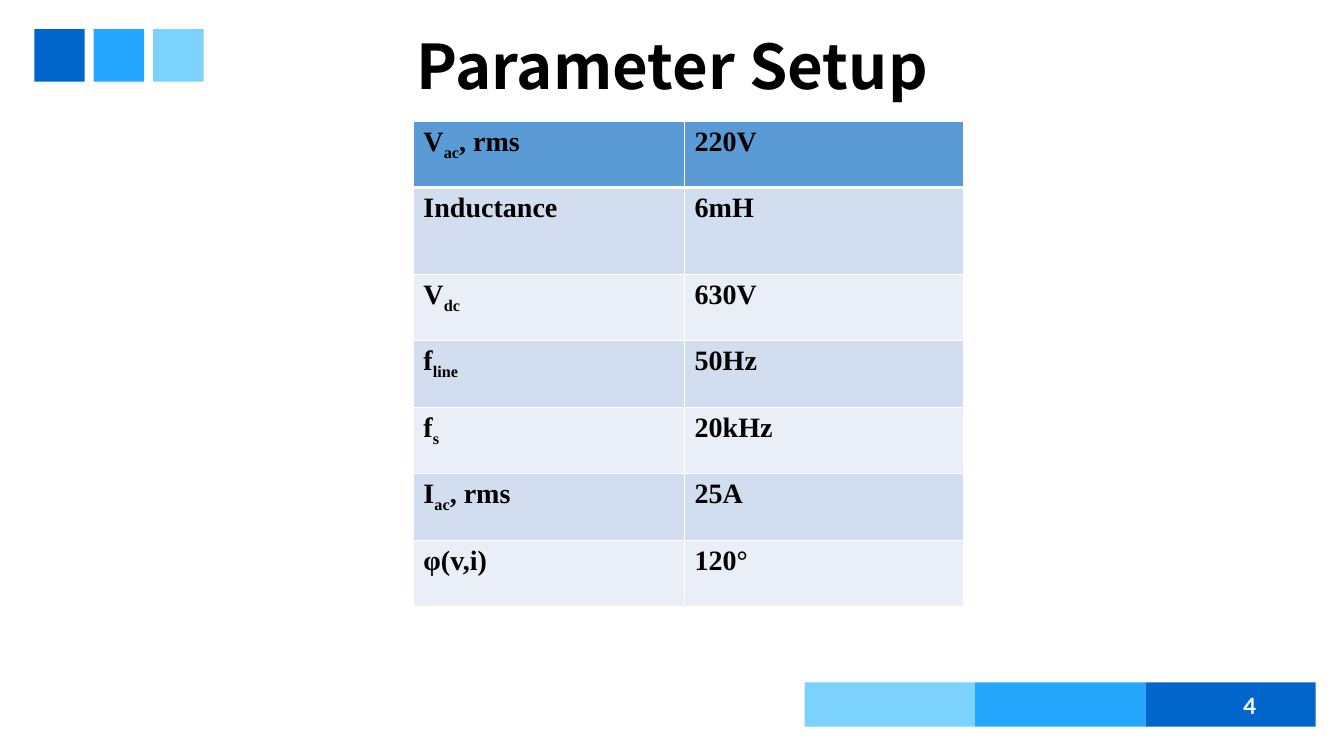
from lxml import etree
from pptx import Presentation
from pptx.dml.color import RGBColor
from pptx.enum.shapes import MSO_SHAPE
from pptx.enum.text import MSO_ANCHOR, PP_ALIGN
from pptx.oxml.ns import qn
from pptx.util import Inches, Pt

RECTANGLE = MSO_SHAPE.RECTANGLE
MIDDLE, BOTTOM = MSO_ANCHOR.MIDDLE, MSO_ANCHOR.BOTTOM
CENTER, RIGHT = PP_ALIGN.CENTER, PP_ALIGN.RIGHT

BLACK = RGBColor(0x00, 0x00, 0x00)
WHITE = RGBColor(0xFF, 0xFF, 0xFF)
DEEP_BLUE = RGBColor(0x00, 0x66, 0xCC)
BRIGHT_BLUE = RGBColor(0x25, 0xA7, 0xFD)
SKY_BLUE = RGBColor(0x7B, 0xD2, 0xFD)
HEADER_BLUE = RGBColor(0x5B, 0x9B, 0xD5)
DARK_BAND = RGBColor(0xD2, 0xDE, 0xEF)
LIGHT_BAND = RGBColor(0xEA, 0xEF, 0xF7)

PARAMETERS = [
    (("V", "ac", ", rms"), "220V"),
    (("Inductance",), "6mH"),
    (("V", "dc"), "630V"),
    (("f", "line"), "50Hz"),
    (("f", "s"), "20kHz"),
    (("I", "ac", ", rms"), "25A"),
    (("φ(v,i)",), "120°"),
]
COLUMN_WIDTHS = (2.69, 2.77)
ROW_HEIGHTS = (0.66, 0.86) + (0.66,) * 5


class SlideBuilder:
    """Draws styled elements on the current slide."""

    def __init__(self, page):
        self.page = page

    def block(self, left, top, width, height, color):
        box = self.page.shapes.add_shape(
            RECTANGLE, Inches(left), Inches(top), Inches(width), Inches(height))
        box.shadow.inherit = False
        box.fill.solid()
        box.fill.fore_color.rgb = color
        box.line.fill.background()

    def style(self, para, name, size, color):
        para.font.name = name
        para.font.size = Pt(size)
        para.font.bold = True
        para.font.color.rgb = color

    def label(self, text, left, top, width, height, name, size, color, align, anchor):
        box = self.page.shapes.add_textbox(
            Inches(left), Inches(top), Inches(width), Inches(height))
        frame = box.text_frame
        frame.word_wrap = True
        frame.vertical_anchor = anchor
        para = frame.paragraphs[0]
        para.text = text
        para.alignment = align
        self.style(para, name, size, color)
        return para

    def border(self, cell, side, width):
        line = etree.SubElement(
            cell._tc.get_or_add_tcPr(), qn(f"a:ln{side}"), w=str(Pt(width)))
        fill = etree.SubElement(line, qn("a:solidFill"))
        etree.SubElement(fill, qn("a:srgbClr"), val=str(WHITE))

    def cell(self, cell, parts, color, top, bottom):
        for side, width in (("L", 1), ("R", 1), ("T", top), ("B", bottom)):
            self.border(cell, side, width)
        cell.fill.solid()
        cell.fill.fore_color.rgb = color
        para = cell.text_frame.paragraphs[0]
        self.style(para, "Times New Roman", 20, BLACK)
        for index, part in enumerate(parts):
            span = para.add_run()
            span.text = part
            if index == 1:
                span._r.get_or_add_rPr().set("baseline", "-25000")

    def table(self, left, top, widths, heights, rows):
        grid = self.page.shapes.add_table(
            len(rows), len(widths), Inches(left), Inches(top),
            Inches(sum(widths)), Inches(sum(heights))).table
        grid.horz_banding = False
        for column, width in zip(grid.columns, widths):
            column.width = Inches(width)
        for index, (symbol, value) in enumerate(rows):
            grid.rows[index].height = Inches(heights[index])
            band = DARK_BAND if index % 2 else LIGHT_BAND
            color = band if index else HEADER_BLUE
            top_line = 3 if index == 1 else 1
            bottom_line = 3 if index == 0 else 1
            for column, parts in enumerate((symbol, (value,))):
                self.cell(grid.cell(index, column), parts, color, top_line, bottom_line)


def main():
    deck = Presentation()
    deck.slide_width, deck.slide_height = Inches(13.33), Inches(7.5)
    builder = SlideBuilder(deck.slides.add_slide(deck.slide_layouts[6]))
    for index, color in enumerate((DEEP_BLUE, BRIGHT_BLUE, SKY_BLUE)):
        builder.block(0.34 + 0.59 * index, 0.29, 0.5, 0.52, color)
        builder.block(11.36 - 1.69 * index, 6.77, 1.69, 0.44, color)
    title = builder.label("Parameter Setup", 3.99, 0.24, 5.36, 0.83,
                          "Noto Sans CJK SC", 44, BLACK, CENTER, BOTTOM)
    title.line_spacing = 0.9
    builder.label("4", 9.56, 6.8, 3, 0.4, "Lato", 16, WHITE, RIGHT, MIDDLE)
    builder.table(4.1, 1.2, COLUMN_WIDTHS, ROW_HEIGHTS, PARAMETERS)
    deck.save("out.pptx")


if __name__ == "__main__":
    main()
